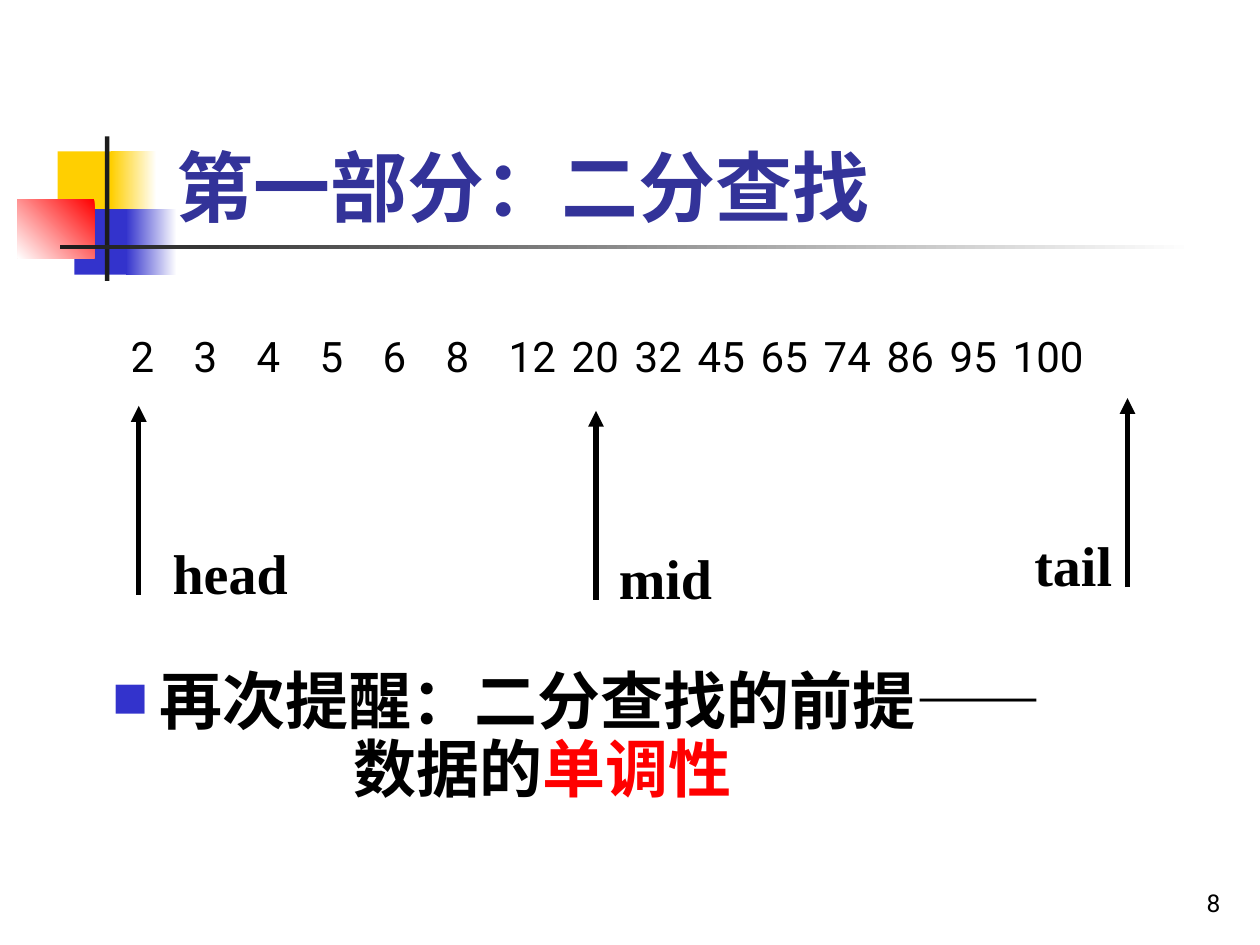
from dataclasses import dataclass

from lxml.etree import SubElement as Sub
from pptx import Presentation
from pptx.dml.color import RGBColor as Rgb
from pptx.enum.shapes import MSO_CONNECTOR as Link, MSO_SHAPE as Kind
from pptx.enum.text import MSO_ANCHOR as Anchor, MSO_AUTO_SIZE as Auto, PP_ALIGN as Align
from pptx.oxml.ns import qn
from pptx.util import Pt

HUES = {
    "gold": "FFCF01", "blue": "3333CC", "red": "FF0000", "dark": "1C1C1C",
    "white": "FFFFFF", "black": "000000", "title": "333399",
}
SANS, HAN, SERIF = "Roboto", "Noto Sans CJK SC", "Times New Roman"


@dataclass
class Block:
    x: float
    y: float
    w: float
    h: float
    hue: str
    fade: str = ""
    turn: int = 180


@dataclass
class Mark:
    name: str
    x: float
    tip: float
    left: float
    wide: float


BLOCKS = [
    Block(33, 86.5, 34.5, 37.5, "gold"),
    Block(63.5, 86.5, 26, 37.5, "white", "gold"),
    Block(42.5, 119.5, 33, 37.5, "blue"),
    Block(72, 119.5, 29, 37.5, "white", "blue"),
    Block(10, 114, 44, 33.5, "red", "white", 225),
    Block(60, 78, 2.5, 82.5, "dark"),
    Block(34.5, 140, 648, 2.5, "white", "dark"),
]
MARKS = [
    Mark("head", 79.3, 232, 91.5, 90),
    Mark("mid", 340.6, 234.8, 346.5, 90),
    Mark("tail", 644.3, 227.5, 584, 66),
]
NUMS = [2, 3, 4, 5, 6, 8, 12, 20, 32, 45, 65, 74, 86, 95, 100]
SHAFT = 108
NARROW, BROAD, TURN = 31.43, 38.83, 6


def tint(hue: str) -> Rgb:
    return Rgb.from_string(HUES[hue])


def place(shape, x: float, y: float, w: float, h: float) -> None:
    shape.left, shape.top, shape.width, shape.height = Pt(x), Pt(y), Pt(w), Pt(h)


def setup(shape, anchor=Anchor.TOP):
    frame = shape.text_frame
    frame.word_wrap = True
    frame.auto_size = Auto.NONE
    frame.vertical_anchor = anchor
    return frame


def style(para, size: float, face: str, hue: str = "black", bold: bool = False) -> None:
    font = para.font
    font.size, font.name, font.bold = Pt(size), face, bold
    font.color.rgb = tint(hue)
    base = para._p.pPr.find(qn("a:defRPr"))
    Sub(base, qn("a:ea"), typeface=HAN)


def indent(para, left: float, first: float = 0):
    props = para._p.get_or_add_pPr()
    props.set("marL", str(Pt(left)))
    props.set("indent", str(Pt(first)))
    return props


def bullet(props) -> None:
    Sub(Sub(props, qn("a:buClr")), qn("a:srgbClr"), val=HUES["blue"])
    Sub(props, qn("a:buSzPct"), val="60000")
    Sub(props, qn("a:buFont"), typeface=SANS)
    Sub(props, qn("a:buChar"), char="■")


def draw_block(shapes, b: Block) -> None:
    shape = shapes.add_shape(Kind.RECTANGLE, Pt(b.x), Pt(b.y), Pt(b.w), Pt(b.h))
    shape.shadow.inherit = False
    shape.line.fill.background()
    if not b.fade:
        shape.fill.solid()
        shape.fill.fore_color.rgb = tint(b.hue)
        return
    shape.fill.gradient()
    shape.fill.gradient_angle = b.turn
    for stop, hue in zip(shape.fill.gradient_stops, (b.hue, b.fade)):
        stop.color.rgb = tint(hue)


def draw_mark(shapes, m: Mark) -> None:
    line = shapes.add_connector(
        Link.STRAIGHT, Pt(m.x), Pt(m.tip + SHAFT), Pt(m.x), Pt(m.tip))
    line.line.width = Pt(3)
    line.line.color.rgb = tint("black")
    props = line._element.spPr
    Sub(props.find(qn("a:ln")), qn("a:tailEnd"), type="triangle")
    Sub(props, qn("a:effectLst"))
    box = shapes.add_textbox(Pt(m.left), Pt(m.tip + 72), Pt(m.wide), Pt(46))
    para = setup(box).paragraphs[0]
    para.text = m.name
    para.space_before = Pt(20)
    style(para, 32, SERIF, bold=True)


def fill_title(shape) -> None:
    place(shape, 93.5, 60.5, 492, 75.5)
    para = setup(shape, Anchor.BOTTOM).paragraphs[0]
    para.text = "第一部分：二分查找"
    para.alignment = Align.LEFT
    style(para, 44, SANS, "title", True)


def fill_nums(shape) -> None:
    place(shape, 67.5, 185, 598.5, 47)
    para = setup(shape).paragraphs[0]
    para.text = "\t".join(map(str, NUMS))
    para.space_before = Pt(6)
    props = indent(para, 0)
    Sub(props, qn("a:buNone"))
    tabs = Sub(props, qn("a:tabLst"))
    for i in range(1, len(NUMS)):
        stop = min(i, TURN) * NARROW + max(i - TURN, 0) * BROAD
        Sub(tabs, qn("a:tab"), pos=str(Pt(stop)), algn="l")
    style(para, 24, SANS)


def fill_note(shape) -> None:
    place(shape, 57, 386, 612, 78)
    frame = setup(shape)
    lead, rest = frame.paragraphs[0], frame.add_paragraph()
    lead.text = "再次提醒：二分查找的前提——"
    rest.add_run().text = "数据的"
    key = rest.add_run()
    key.text = "单调性"
    key.font.color.rgb = tint("red")
    for para in (lead, rest):
        para.line_spacing = 0.7
        para.space_before = Pt(9)
    bullet(indent(lead, 27, -27))
    Sub(indent(rest, 138), qn("a:buNone"))
    for para in (lead, rest):
        style(para, 36, HAN, bold=True)


def draw_page(shapes) -> None:
    box = shapes.add_textbox(Pt(554.5), Pt(492), Pt(150), Pt(36))
    para = setup(box, Anchor.BOTTOM).paragraphs[0]
    para.text = "8"
    para.alignment = Align.RIGHT
    style(para, 14, SANS)


def main() -> None:
    deck = Presentation()
    deck.slide_width, deck.slide_height = Pt(720), Pt(540)
    slide = deck.slides.add_slide(deck.slide_layouts[3])
    shapes = slide.shapes
    title, nums, note = slide.placeholders
    for block in BLOCKS:
        draw_block(shapes, block)
    fill_title(title)
    fill_nums(nums)
    for mark in MARKS:
        draw_mark(shapes, mark)
    fill_note(note)
    draw_page(shapes)
    deck.save("out.pptx")


if __name__ == "__main__":
    main()
